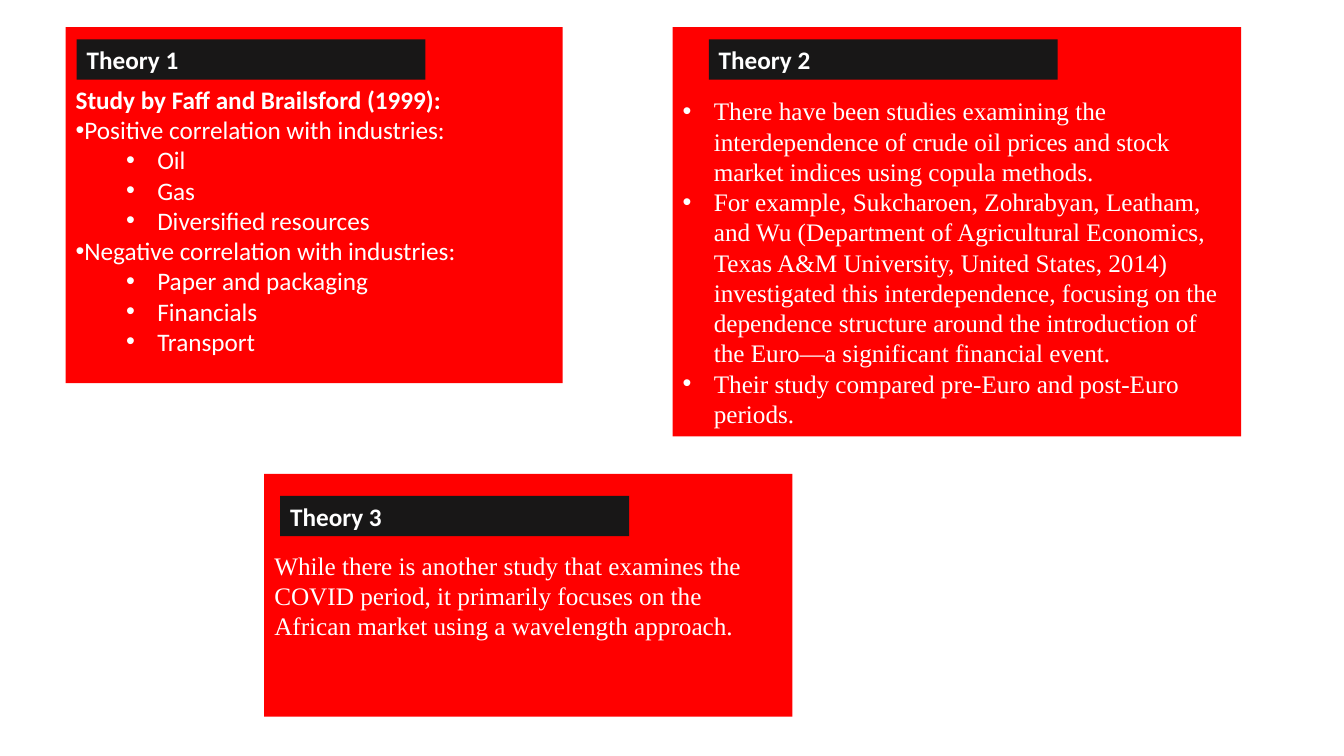
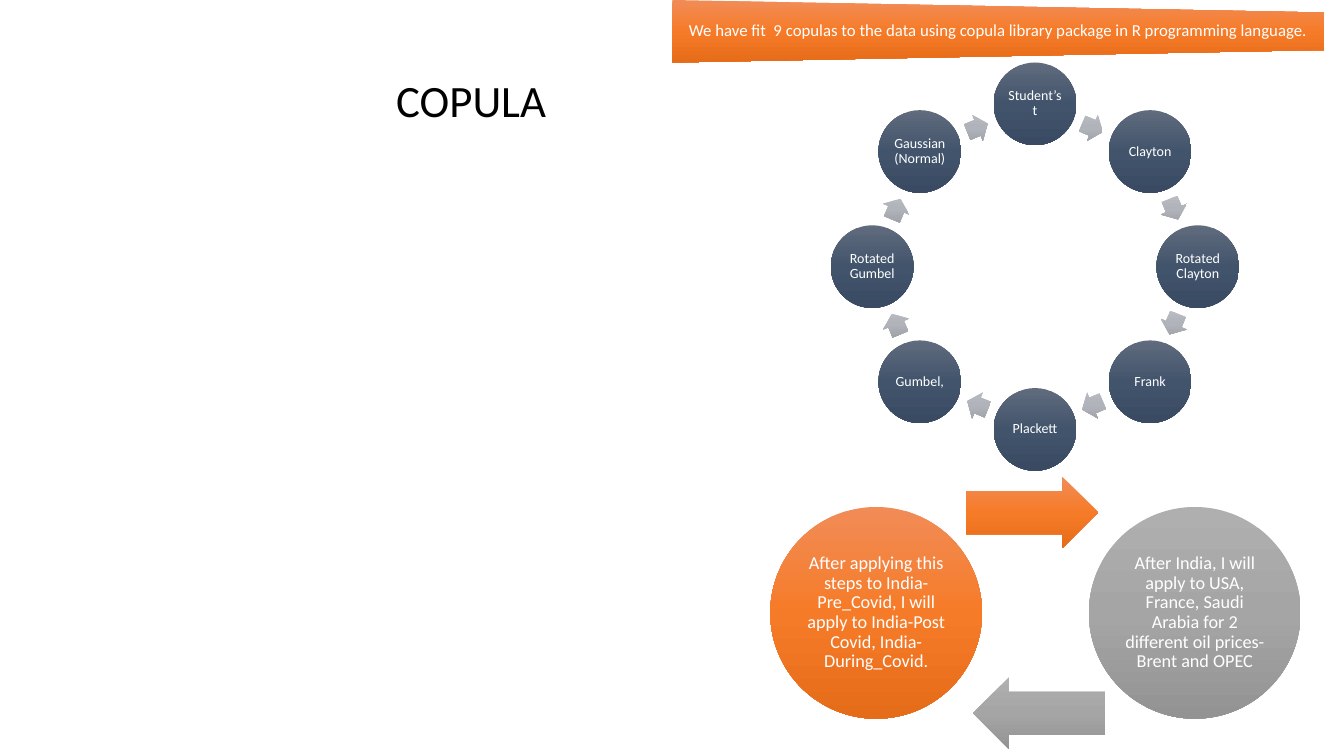
from math import cos, radians, sin

from lxml import etree
from pptx import Presentation
from pptx.dml.color import RGBColor
from pptx.enum.shapes import MSO_SHAPE
from pptx.enum.text import MSO_ANCHOR, MSO_AUTO_SIZE, PP_ALIGN
from pptx.oxml.ns import qn
from pptx.util import Inches, Pt

RECT = MSO_SHAPE.RECTANGLE
OVAL = MSO_SHAPE.OVAL
ARROW = MSO_SHAPE.RIGHT_ARROW
TAPER = MSO_SHAPE.FLOWCHART_MANUAL_OPERATION
TOP, MIDDLE = MSO_ANCHOR.TOP, MSO_ANCHOR.MIDDLE
LEFT, CENTER = PP_ALIGN.LEFT, PP_ALIGN.CENTER
FIXED = MSO_AUTO_SIZE.NONE

COLORS = {"panel": "FF0000", "label": "181717", "light": "FFFFFF", "dark": "000000"}
BLENDS = {
    "navy": ("606B7D", "42546C", "394A62"),
    "mist": ("BABDC2", "B0B3BA", "9C9FA6"),
    "orange": ("F18C57", "F67B28", "E56C19"),
    "gray": ("AFAFAF", "A5A5A5", "939393"),
}
SANS, SERIF = "Calibri", "Times New Roman"
INSET = (0.1, 0.05, 0.1, 0.05)

STUDY = [
    ("Study by Faff and Brailsford (1999):", "head"),
    ("Positive correlation with industries:", "flat"),
    ("Oil", "sub"),
    ("Gas", "sub"),
    ("Diversified resources", "sub"),
    ("Negative correlation with industries:", "flat"),
    ("Paper and packaging", "sub"),
    ("Financials", "sub"),
    ("Transport", "sub"),
]
METHODS = [
    ("There have been studies examining the interdependence of crude oil prices "
     "and stock market indices using copula methods.", "item"),
    ("For example, Sukcharoen, Zohrabyan, Leatham, and Wu (Department of "
     "Agricultural Economics, Texas A&M University, United States, 2014) "
     "investigated this interdependence, focusing on the dependence structure "
     "around the introduction of the Euro—a significant financial event.", "item"),
    ("Their study compared pre-Euro and post-Euro periods.", "item"),
]
COVID = [
    ("While there is another study that examines the COVID period, it primarily "
     "focuses on the African market using a wavelength approach.", "plain"),
]
INDENTS = {"head": (0, 0), "plain": (0, 0), "flat": (0, 0),
           "item": (0.31, -0.31), "sub": (0.81, -0.31)}
BULLETS = ("flat", "item", "sub")
NAMES = ["Student’s t", "Clayton", "Rotated Clayton", "Frank", "Plackett",
         "Gumbel,", "Rotated Gumbel", "Gaussian (Normal)"]


def place(shape, box):
    shape.left, shape.top, shape.width, shape.height = map(Inches, box)


def paint(shape, color):
    shape.fill.solid()
    shape.fill.fore_color.rgb = RGBColor.from_string(COLORS[color])


def blend(shape, name):
    shape.fill.gradient()
    shape.fill.gradient_angle = 270
    grad = shape._element.spPr.find(qn("a:gradFill"))
    grad.set("rotWithShape", "0")
    stops = grad.find(qn("a:gsLst"))
    for stop in list(stops):
        stops.remove(stop)
    for pos, color in zip((0, 50000, 100000), BLENDS[name]):
        stop = etree.SubElement(stops, qn("a:gs"), pos=str(pos))
        etree.SubElement(stop, qn("a:srgbClr"), val=color)


def add_form(slide, kind, box, turn=0):
    shape = slide.shapes.add_shape(kind, *map(Inches, box))
    shape.shadow.inherit = False
    shape.line.fill.background()
    shape.rotation = turn
    return shape


def set_frame(shape, anchor, inset=INSET):
    frame = shape.text_frame
    frame.word_wrap = True
    frame.auto_size = FIXED
    frame.vertical_anchor = anchor
    (frame.margin_left, frame.margin_top,
     frame.margin_right, frame.margin_bottom) = map(Inches, inset)
    return frame


def add_run(para, text, size, color="light", face=SANS, bold=False):
    run = para.add_run()
    run.text = text
    run.font.name = face
    run.font.size = Pt(size)
    run.font.bold = bold
    run.font.color.rgb = RGBColor.from_string(COLORS[color])


def set_list(para, style):
    left, hang = INDENTS[style]
    props = para._p.get_or_add_pPr()
    props.set("marL", str(Inches(left)))
    props.set("indent", str(Inches(hang)))
    if style in BULLETS:
        etree.SubElement(props, qn("a:buFont"), typeface="Arial")
        etree.SubElement(props, qn("a:buChar"), char="•")
    else:
        etree.SubElement(props, qn("a:buNone"))


def set_title(shape, box, text, size, color, bold=False):
    place(shape, box)
    para = set_frame(shape, TOP).paragraphs[0]
    para.alignment = LEFT
    add_run(para, text, size, color, bold=bold)


def add_center(shape, text, size, inset):
    para = set_frame(shape, MIDDLE, inset).paragraphs[0]
    para.alignment = CENTER
    para.line_spacing = 0.9
    add_run(para, text, size)


def add_panel(body, box, lines, face, lead):
    place(body, box)
    paint(body, "panel")
    frame = set_frame(body, MIDDLE, (0.1, 0.05 + lead, 0.1, 0.05))
    for num, (text, style) in enumerate(lines):
        para = frame.add_paragraph() if num else frame.paragraphs[0]
        set_list(para, style)
        para.level = 1 if style == "sub" else 0
        para.alignment = LEFT
        para.space_before = para.space_after = Pt(0)
        add_run(para, text, 18, face=face, bold=style == "head")


def add_label(label, panel, shift, text):
    left, top = panel[0] + shift[0], panel[1] + shift[1]
    paint(label, "label")
    set_title(label, (left, top, 3.46, 0.4), text, 18, "light", True)


def add_theory(deck):
    slide = deck.slides.add_slide(deck.slide_layouts[4])
    holders = {item.placeholder_format.idx: item for item in slide.placeholders}
    title = holders[0]
    panels = [
        (2, (0.65, 0.27, 4.93, 3.53), STUDY, SANS, 0.3, (0.11, 0.12)),
        (4, (6.67, 0.27, 5.64, 4.06), METHODS, SERIF, 0.6, (0.36, 0.12)),
        (1, (2.62, 4.7, 5.24, 2.41), COVID, SERIF, 0, (0.16, 0.22)),
    ]
    for num, (idx, box, lines, face, lead, shift) in enumerate(panels, 1):
        add_panel(holders[idx], box, lines, face, lead)
        label = title if num == 1 else add_form(slide, RECT, box)
        add_label(label, box, shift, f"Theory {num}")
    spare = holders[3]._element
    spare.getparent().remove(spare)
    slide.shapes._spTree.append(title._element)


def add_ring(slide, box):
    left, top, width, height = box
    disc, wide, tall = 0.82, 0.22, 0.28
    mid_x, mid_y = left + width / 2, top + height / 2
    reach = (height - disc) / 2
    step = 360 / len(NAMES)

    def spot(angle, radius, w, h):
        turn = radians(angle)
        return (mid_x + radius * sin(turn) - w / 2,
                mid_y - radius * cos(turn) - h / 2, w, h)

    for num, name in enumerate(NAMES):
        angle = num * step
        node = add_form(slide, OVAL, spot(angle, reach, disc, disc))
        blend(node, "navy")
        add_center(node, name, 10, (0.01,) * 4)
        angle += step / 2
        link = add_form(slide, ARROW, spot(angle, 1.49, wide, tall), angle)
        link.adjustments[0] = 0.6
        blend(link, "mist")


def add_banner(slide, box, text):
    left, top, width, height = box
    side = (left + (width - height) / 2, top + (height - width) / 2, height, width)
    blend(add_form(slide, TAPER, side, 270), "orange")
    note = slide.shapes.add_textbox(*map(Inches, box))
    add_center(note, text, 12, (0.08, 0, 0.08, 0))


def add_steps(slide, box):
    left, top = box[:2]
    parts = [
        ("orange", 0, (1.94, 0), 0,
         "After applying this steps to India-Pre_Covid, I will apply to "
         "India-Post Covid, India-During_Covid."),
        ("gray", 3.16, (2.01, 1.99), 180,
         "After India, I will apply to USA, France, Saudi Arabia for 2 "
         "different oil prices- Brent and OPEC"),
    ]
    for color, shift, (dx, dy), turn, text in parts:
        disc = add_form(slide, OVAL, (left + shift, top + 0.3, 2.1, 2.1))
        blend(disc, color)
        add_center(disc, text, 13, (0.02,) * 4)
        arrow = add_form(slide, ARROW, (left + dx, top + dy, 1.31, 0.71), turn)
        arrow.adjustments[0] = 0.6
        blend(arrow, color)


def add_copula(deck):
    slide = deck.slides.add_slide(deck.slide_layouts[5])
    set_title(slide.shapes.title, (3.83, 0.67, 3.8, 0.64), "COPULA", 32, "dark")
    add_ring(slide, (8.24, 0.62, 4.05, 4.05))
    add_banner(slide, (6.67, 0, 6.46, 0.62),
               "We have fit  9 copulas to the data using copula library package "
               "in R programming language.")
    add_steps(slide, (7.64, 4.73, 5.26, 2.7))


def main():
    deck = Presentation()
    deck.slide_width, deck.slide_height = Inches(13.33), Inches(7.5)
    add_theory(deck)
    add_copula(deck)
    deck.save("out.pptx")


if __name__ == "__main__":
    main()
